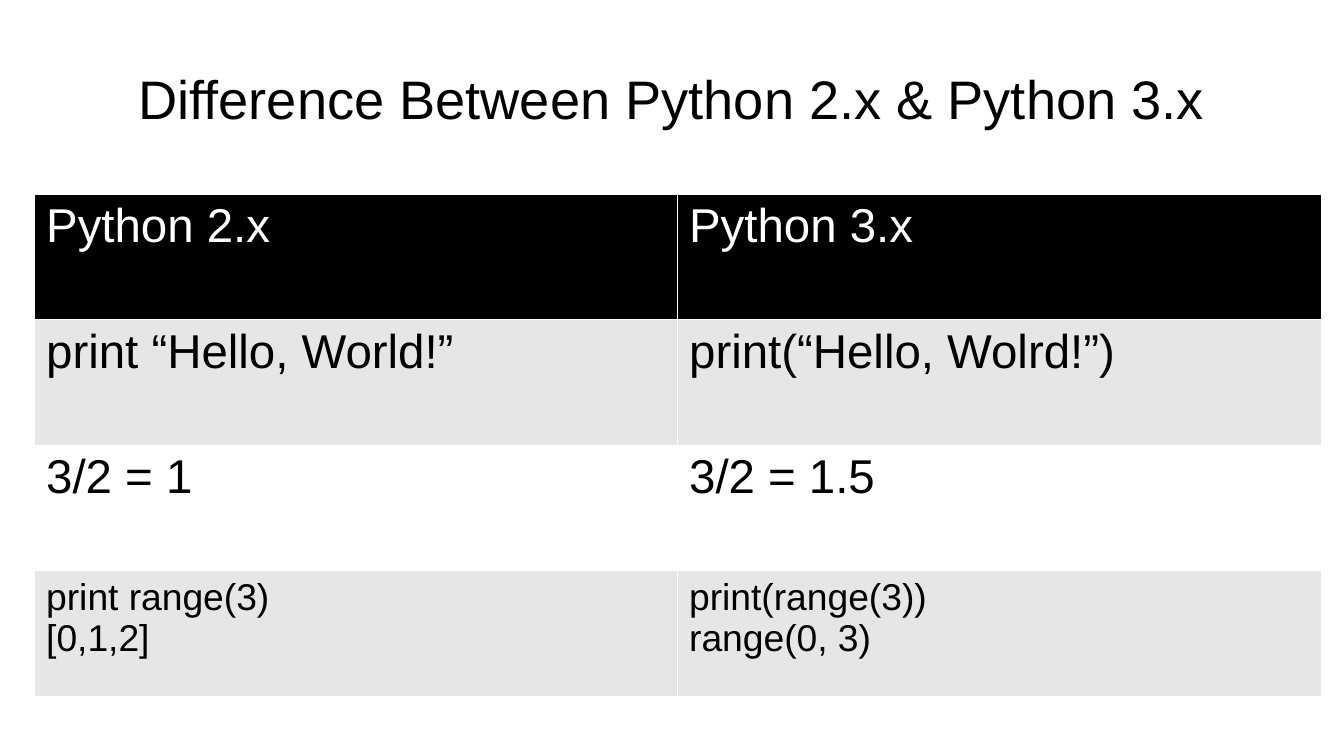
from dataclasses import dataclass

from lxml.etree import SubElement
from pptx import Presentation
from pptx.dml.color import RGBColor
from pptx.enum.text import MSO_ANCHOR, PP_ALIGN
from pptx.oxml.ns import qn
from pptx.util import Emu, Pt


@dataclass(frozen=True)
class Theme:
    font: str = "Arial"
    black: str = "000000"
    white: str = "FFFFFF"
    band: str = "E6E6E6"
    title_size: int = 32
    cell_size: int = 28
    code_size: int = 22
    border: int = 762


THEME = Theme()
EMU_PER_PX = 7495


def px(length):
    return Emu(length * EMU_PER_PX)


def add_text(paragraph, text, size, color):
    run = paragraph.add_run()
    run.text = text
    run.font.name = THEME.font
    run.font.size = Pt(size)
    run.font.bold = False
    run.font.color.rgb = RGBColor.from_string(color)


prs = Presentation()
prs.slide_width, prs.slide_height = px(1344), px(756)
slide = prs.slides.add_slide(prs.slide_layouts[5])

# Title
title = slide.shapes.title
title.left, title.top, title.width, title.height = px(67), px(35), px(1210), px(126)
heading = title.text_frame
heading.margin_left = heading.margin_right = heading.margin_top = heading.margin_bottom = 0
heading.vertical_anchor = MSO_ANCHOR.MIDDLE
heading.word_wrap = True
heading.paragraphs[0].alignment = PP_ALIGN.CENTER
add_text(heading.paragraphs[0], "Difference Between Python 2.x & Python 3.x",
         THEME.title_size, THEME.black)

# Comparison table: (fill, text colour, text size, lines of each version)
comparison_rows = [
    (THEME.black, THEME.white, THEME.cell_size, (["Python 2.x"], ["Python 3.x"])),
    (THEME.band, THEME.black, THEME.cell_size,
     (["print “Hello, World!”"], ["print(“Hello, Wolrd!”)"])),
    (THEME.white, THEME.black, THEME.cell_size, (["3/2 = 1"], ["3/2 = 1.5"])),
    (THEME.band, THEME.black, THEME.code_size,
     (["print range(3)", "[0,1,2]"], ["print(range(3))", "range(0, 3)"])),
]
comparison = slide.shapes.add_table(
    len(comparison_rows), 2, px(34), px(194), px(1287), px(502)).table
comparison.first_row = comparison.horz_banding = False
for column, width in zip(comparison.columns, (643, 644)):
    column.width = px(width)

for row, (fill, color, size, versions) in zip(comparison.rows, comparison_rows):
    for cell, lines in zip(row.cells, versions):
        borders = cell._tc.get_or_add_tcPr()
        for side in ("a:lnL", "a:lnR", "a:lnT", "a:lnB"):
            border = SubElement(borders, qn(side), w=str(THEME.border))
            SubElement(SubElement(border, qn("a:solidFill")), qn("a:srgbClr"), val=THEME.white)
        cell.fill.solid()
        cell.fill.fore_color.rgb = RGBColor.from_string(fill)
        for index, line in enumerate(lines):
            frame = cell.text_frame
            paragraph = frame.add_paragraph() if index else frame.paragraphs[0]
            add_text(paragraph, line, size, color)

prs.save("out.pptx")
